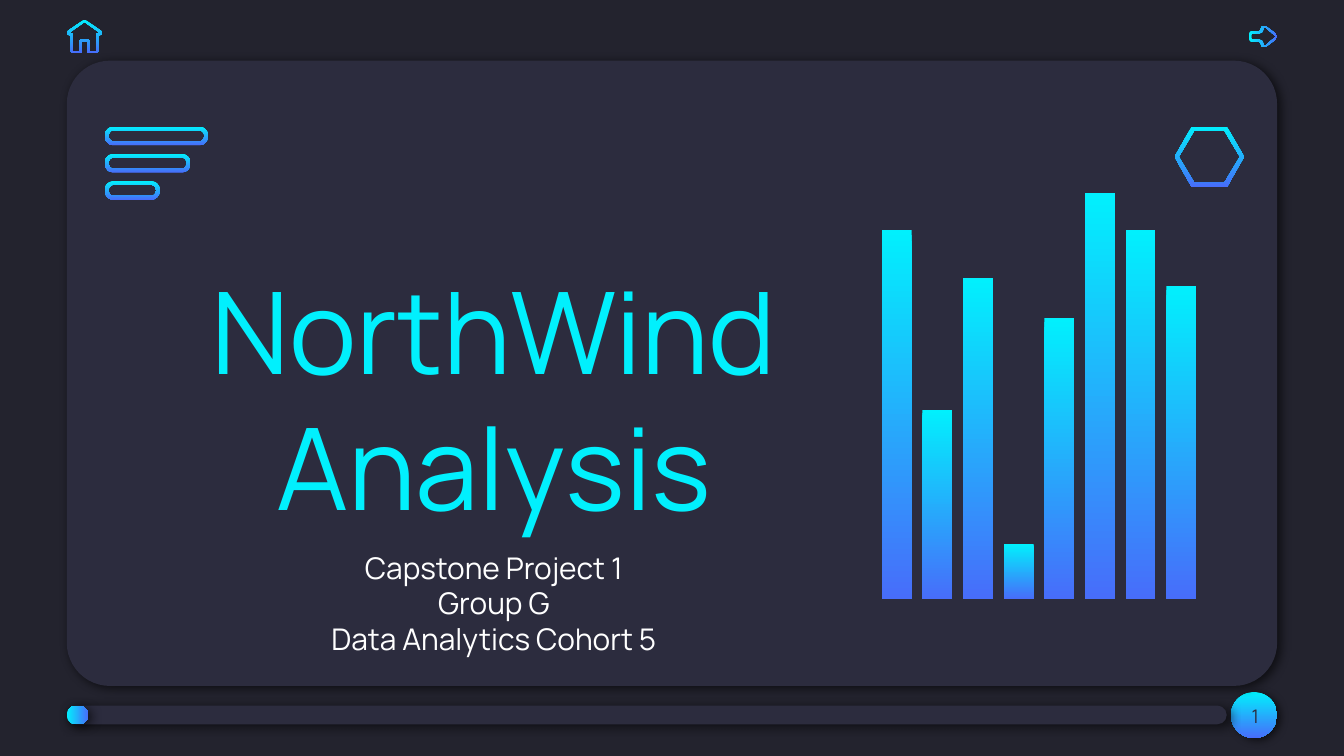
from dataclasses import dataclass
from math import cos, pi, sin

from lxml.etree import SubElement
from pptx import Presentation
from pptx.dml.color import RGBColor
from pptx.enum.shapes import MSO_SHAPE
from pptx.enum.text import MSO_ANCHOR, MSO_AUTO_SIZE, PP_ALIGN
from pptx.oxml.ns import qn
from pptx.util import Pt

NIGHT = RGBColor(0x23, 0x23, 0x2E)
PANEL = RGBColor(0x2C, 0x2C, 0x3E)
CYAN = RGBColor(0x01, 0xF0, 0xFD)
BLUE = RGBColor(0x47, 0x6D, 0xFA)
WHITE = RGBColor(0xFF, 0xFF, 0xFF)
FONT = "Manrope"
DOWNWARD, RIGHTWARD = 270, 0  # gradient angles, counter-clockwise

Points = list[tuple[float, float]]


@dataclass(frozen=True)
class Area:
    left: float
    top: float
    width: float
    height: float

    def lengths(self) -> tuple:
        return Pt(self.left), Pt(self.top), Pt(self.width), Pt(self.height)


def paint(shape, color: RGBColor | None = None, angle: int = DOWNWARD) -> None:
    """Fill with one colour, or with the cyan-blue gradient."""
    shape.shadow.inherit = False
    shape.line.fill.background()
    if color is not None:
        shape.fill.solid()
        shape.fill.fore_color.rgb = color
        return
    shape.fill.gradient()
    shape.fill.gradient_angle = angle
    for stop, stop_color in zip(shape.fill.gradient_stops, (CYAN, BLUE)):
        stop.color.rgb = stop_color


def add_shadow(shape, blur: float) -> None:
    effects = shape.element.spPr.find(qn("a:effectLst"))
    outer = SubElement(effects, qn("a:outerShdw"), blurRad=str(Pt(blur)),
                       dist=str(Pt(2.25)), dir=str(33 * 60000),
                       algn="bl", rotWithShape="0")
    shade = SubElement(outer, qn("a:srgbClr"), val="000000")
    SubElement(shade, qn("a:alpha"), val="60000")


def draw_shape(shapes, kind: MSO_SHAPE, area: Area, color: RGBColor | None = None,
               angle: int = DOWNWARD, rounding: float | None = None,
               blur: float | None = None) -> None:
    shape = shapes.add_shape(kind, *area.lengths())
    if rounding is not None:
        shape.adjustments[0] = rounding
    paint(shape, color, angle)
    if blur is not None:
        add_shadow(shape, blur)


def draw_ring(shapes, outer: Points, inner: Points, angle: int = DOWNWARD) -> None:
    """Draw the band between two closed outlines."""
    outlines = [[(Pt(x), Pt(y)) for x, y in line] for line in (outer, inner[::-1])]
    builder = shapes.build_freeform(*outlines[0][0])
    builder.add_line_segments(outlines[0][1:], close=True)
    builder.move_to(*outlines[1][0])
    builder.add_line_segments(outlines[1][1:], close=True)
    paint(builder.convert_to_shape(), angle=angle)


def rounded(area: Area, radius: float, inset: float = 0, steps: int = 6) -> Points:
    reach = radius - inset
    right, bottom = area.left + area.width, area.top + area.height
    centers = [(right - radius, bottom - radius), (area.left + radius, bottom - radius),
               (area.left + radius, area.top + radius), (right - radius, area.top + radius)]
    return [(x + reach * cos(turn), y + reach * sin(turn))
            for corner, (x, y) in enumerate(centers)
            for turn in ((corner + step / steps) * pi / 2 for step in range(steps + 1))]


def mirrored(half: Points) -> Points:
    """Complete an outline whose first coordinate is the offset from its axis."""
    return half + [(-offset, along) for offset, along in reversed(half)]


def hexagon(x: float, y: float, half_width: float, half_height: float, flat: float) -> Points:
    half = [(flat, -half_height), (half_width, 0), (flat, half_height)]
    return [(x + dx, y + dy) for dx, dy in mirrored(half)]


def write(frame, lines: list[str], size: float, color: RGBColor, anchor: MSO_ANCHOR) -> None:
    frame.word_wrap = True
    frame.auto_size = MSO_AUTO_SIZE.NONE
    frame.vertical_anchor = anchor
    frame.margin_left = frame.margin_right = Pt(7.2)
    frame.margin_top = frame.margin_bottom = Pt(7.2)
    for index, line in enumerate(lines):
        para = frame.add_paragraph() if index else frame.paragraphs[0]
        para.alignment = PP_ALIGN.CENTER
        span = para.add_run()
        span.text = line
        span.font.name = FONT
        span.font.size = Pt(size)
        span.font.color.rgb = color


def add_text(page, area: Area, lines: list[str], size: float, color: RGBColor,
             anchor: MSO_ANCHOR) -> None:
    box = page.shapes.add_textbox(*area.lengths())
    write(box.text_frame, lines, size, color, anchor)


def draw_bars(page) -> None:
    left, base, pitch, width = 472.4, 321, 21.78, 16
    heights = [198, 101.5, 172, 29.5, 150.5, 217.5, 198, 168]
    group = page.shapes.add_group_shape()
    for index, height in enumerate(heights):
        bar = Area(left + index * pitch, base - height, width, height)
        draw_shape(group.shapes, MSO_SHAPE.RECTANGLE, bar)


def draw_menu(page) -> None:
    group = page.shapes.add_group_shape()
    for index, width in enumerate([55.2, 45.8, 29.4]):
        pill = Area(56.2, 67.8 + index * 14.6, width, 10)
        draw_ring(group.shapes, rounded(pill, 4.8), rounded(pill, 4.8, inset=2))


def draw_home(page) -> None:
    axis = 45.3
    outer = [(0.4, 10.7), (9, 16.7), (9.3, 17.6), (8.9, 18.7), (7.3, 19), (7.3, 27.5),
             (6.5, 28.4), (1.6, 28.4), (1.6, 22.2)]
    inner = [(0, 11.9), (8.3, 17.6), (6.8, 17.8), (6.2, 18.5), (6.2, 27.4), (2.6, 27.4),
             (2.6, 21.8), (1.9, 21.1)]
    draw_ring(page.shapes, *([(axis + dx, y) for dx, y in mirrored(half)]
                             for half in (outer, inner)))


def draw_arrow(page) -> None:
    axis = 19.6
    outer = [(1, 669), (2.4, 669.6), (2.9, 670.7), (2.9, 674.7), (3.6, 675.4),
             (5, 675.7), (5.7, 676.8), (5.4, 678.2), (1.6, 683.3), (0.5, 684)]
    inner = [(0.8, 670.2), (1.7, 670.8), (1.7, 674.6), (2.2, 676), (3.4, 676.6),
             (4.4, 676.7), (4.8, 677.4), (4.6, 678.2), (0.4, 683.1)]
    draw_ring(page.shapes, *([(x, axis + dy) for dy, x in mirrored(half)]
                             for half in (outer, inner)), angle=RIGHTWARD)


def main() -> None:
    deck = Presentation()
    deck.slide_width, deck.slide_height = Pt(720), Pt(405)
    page = deck.slides.add_slide(deck.slide_layouts[5])
    page.background.fill.solid()
    page.background.fill.fore_color.rgb = NIGHT
    shapes = page.shapes

    # Panel, page number and progress track
    draw_shape(shapes, MSO_SHAPE.OVAL, Area(659.5, 370.8, 24.6, 24.6), blur=4.5)
    draw_shape(shapes, MSO_SHAPE.ROUNDED_RECTANGLE, Area(35.8, 32.5, 648.4, 335),
               PANEL, rounding=0.069, blur=5.6)
    add_text(page, Area(650.9, 368, 43, 31), ["1"], 10, PANEL, MSO_ANCHOR.MIDDLE)
    draw_shape(shapes, MSO_SHAPE.ROUNDED_RECTANGLE, Area(35.8, 378, 621.4, 10),
               PANEL, rounding=0.5, blur=5.6)
    draw_shape(shapes, MSO_SHAPE.ROUNDED_RECTANGLE, Area(35.8, 378, 11.5, 10),
               angle=RIGHTWARD, rounding=0.5, blur=5.6)

    # Bar illustration
    draw_bars(page)

    # Title, brought in front of the panel, and subtitle
    title = shapes.title
    title.left, title.top, title.width, title.height = Area(68.4, 73.4, 392.4, 219.6).lengths()
    write(title.text_frame, ["NorthWind Analysis"], 61, CYAN, MSO_ANCHOR.BOTTOM)
    shapes.element.append(title.element)
    add_text(page, Area(68.4, 287.1, 392.4, 32.4),
             ["Capstone Project 1", "Group G", "Data Analytics Cohort 5"],
             16, WHITE, MSO_ANCHOR.TOP)

    # Icons
    draw_menu(page)
    draw_ring(shapes, hexagon(647.9, 84, 18.6, 16.2, 9.4), hexagon(647.9, 84, 16.4, 14, 8))
    draw_arrow(page)
    draw_home(page)

    deck.save("out.pptx")


if __name__ == "__main__":
    main()
